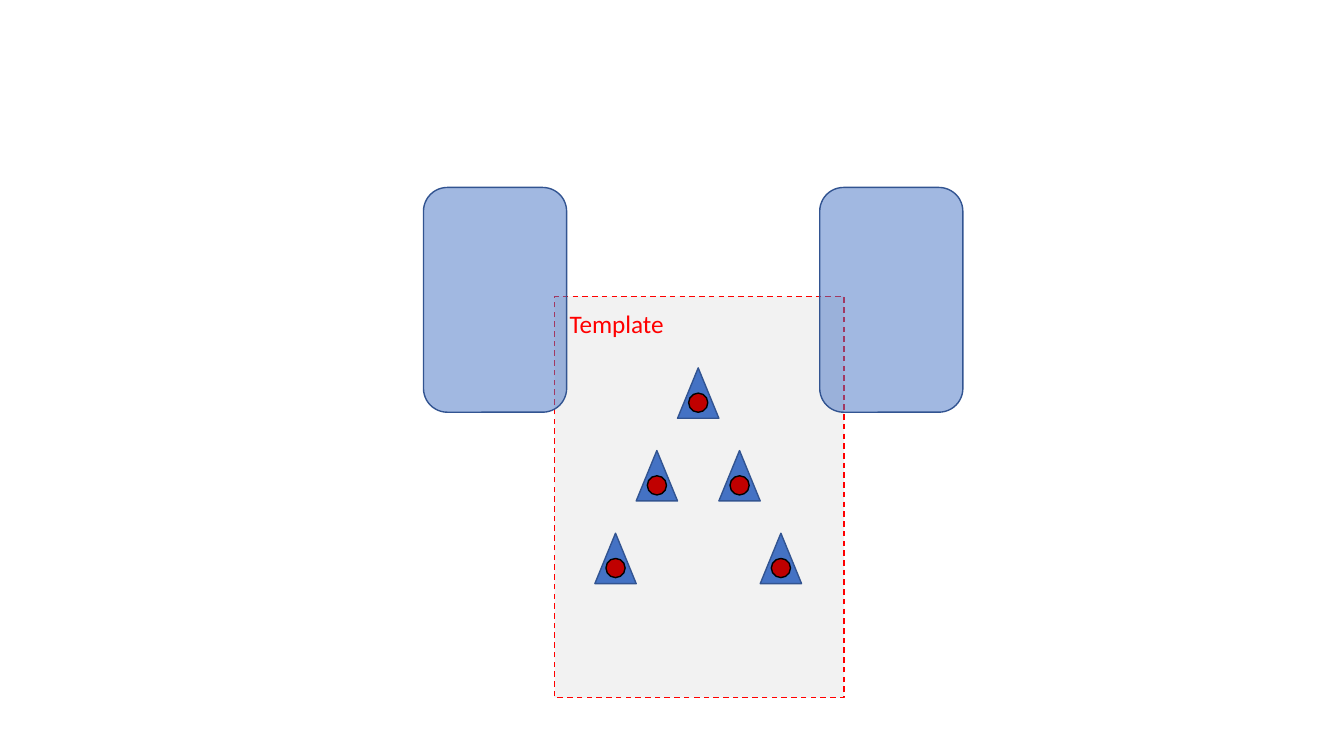
from lxml import etree
from pptx import Presentation
from pptx.dml.color import RGBColor
from pptx.enum.dml import MSO_LINE
from pptx.enum.shapes import MSO_SHAPE
from pptx.enum.text import MSO_AUTO_SIZE
from pptx.oxml.ns import qn
from pptx.util import Inches, Pt

RECTANGLE = MSO_SHAPE.RECTANGLE
ROUNDED = MSO_SHAPE.ROUNDED_RECTANGLE
TRIANGLE = MSO_SHAPE.ISOSCELES_TRIANGLE
OVAL = MSO_SHAPE.OVAL
DASH = MSO_LINE.DASH
FIT_SHAPE = MSO_AUTO_SIZE.SHAPE_TO_FIT_TEXT

BLUE = RGBColor(0x44, 0x72, 0xC4)
BLUE_EDGE = RGBColor(0x32, 0x54, 0x91)
RED = RGBColor(0xFF, 0x00, 0x00)
DARK_RED = RGBColor(0xC0, 0x00, 0x00)
BLACK = RGBColor(0x00, 0x00, 0x00)
PALE_GREY = RGBColor(0xF2, 0xF2, 0xF2)

SLIDE_WIDTH, SLIDE_HEIGHT = 13.33, 7.5
TEMPLATE_BOX = (5.5, 2.94, 2.87, 3.98)
PANELS_BOX = (4.2, 1.86, 5.35, 2.23)
PANEL_WIDTH = 1.42
CONE_WIDTH, CONE_HEIGHT = 0.41, 0.5
DOT_SIZE = 0.19
COLUMN_STEP, ROW_STEP = 0.41, 0.82
CONE_GRID = [(0, 0), (-1, 1), (1, 1), (-2, 2), (2, 2)]


def add_figure(shapes, kind, box, fill, edge):
    """Add a filled preset shape with a one-point outline."""
    shape = shapes.add_shape(kind, *map(Inches, box))
    shape.shadow.inherit = False
    shape.fill.solid()
    shape.fill.fore_color.rgb = fill
    shape.line.color.rgb = edge
    shape.line.width = Pt(1)
    return shape


def add_label(shapes, box, text):
    """Add the red label of the template."""
    label = shapes.add_textbox(*map(Inches, box))
    label.text_frame.word_wrap = False
    label.text_frame.auto_size = FIT_SHAPE
    run = label.text_frame.paragraphs[0].add_run()
    run.text = text
    run.font.name = "Calibri"
    run.font.size = Pt(18)
    run.font.color.rgb = RED


def add_template(slide, box):
    """Group the dashed sheet, its label and the wedge of cones with dots."""
    left, top, width, height = box
    shapes = slide.shapes.add_group_shape().shapes
    sheet = add_figure(shapes, RECTANGLE, box, PALE_GREY, RED)
    sheet.line.dash_style = DASH
    add_label(shapes, (left + 0.05, top + 0.07, 1.15, 0.4), "Template")
    for column, row in CONE_GRID:
        center = left + width / 2 - 0.01 + column * COLUMN_STEP
        cone_top = top + 0.71 + row * ROW_STEP
        add_figure(shapes, TRIANGLE,
                   (center - CONE_WIDTH / 2, cone_top, CONE_WIDTH, CONE_HEIGHT),
                   BLUE, BLUE_EDGE)
        add_figure(shapes, OVAL,
                   (center - DOT_SIZE / 2, cone_top + CONE_HEIGHT / 2, DOT_SIZE, DOT_SIZE),
                   DARK_RED, BLACK)


def add_panels(slide, box):
    """Place a half-transparent rounded panel at each end of the box."""
    left, top, width, height = box
    for panel_left in (left, left + width - PANEL_WIDTH):
        panel = add_figure(slide.shapes, ROUNDED,
                           (panel_left, top, PANEL_WIDTH, height), BLUE, BLUE_EDGE)
        color = panel.fill._xPr.find(qn("a:solidFill"))[0]
        etree.SubElement(color, qn("a:alpha")).set("val", "50000")


def main():
    """Build and save the slide."""
    presentation = Presentation()
    presentation.slide_width = Inches(SLIDE_WIDTH)
    presentation.slide_height = Inches(SLIDE_HEIGHT)
    slide = presentation.slides.add_slide(presentation.slide_layouts[6])
    add_template(slide, TEMPLATE_BOX)
    add_panels(slide, PANELS_BOX)
    presentation.save("out.pptx")


if __name__ == "__main__":
    main()
